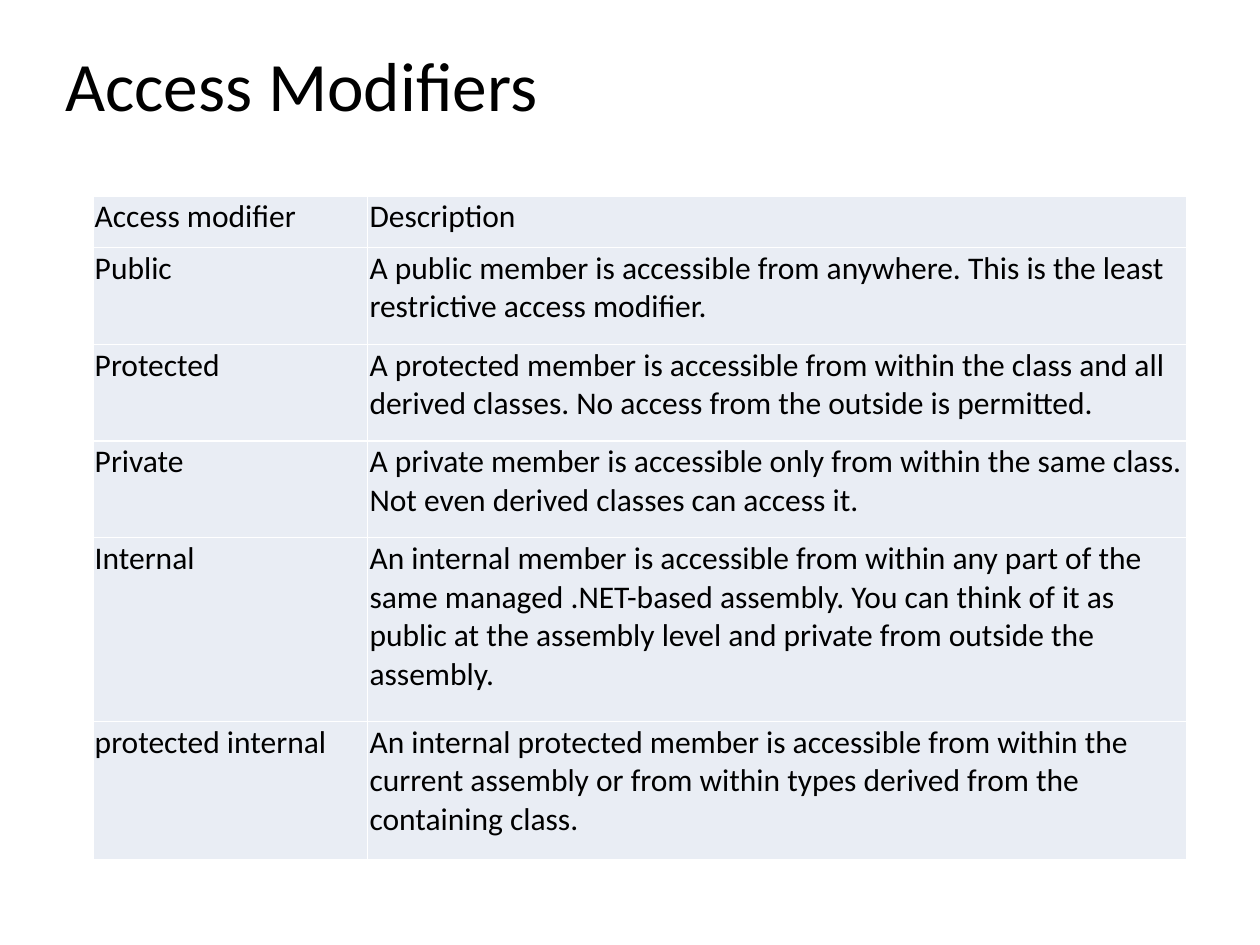
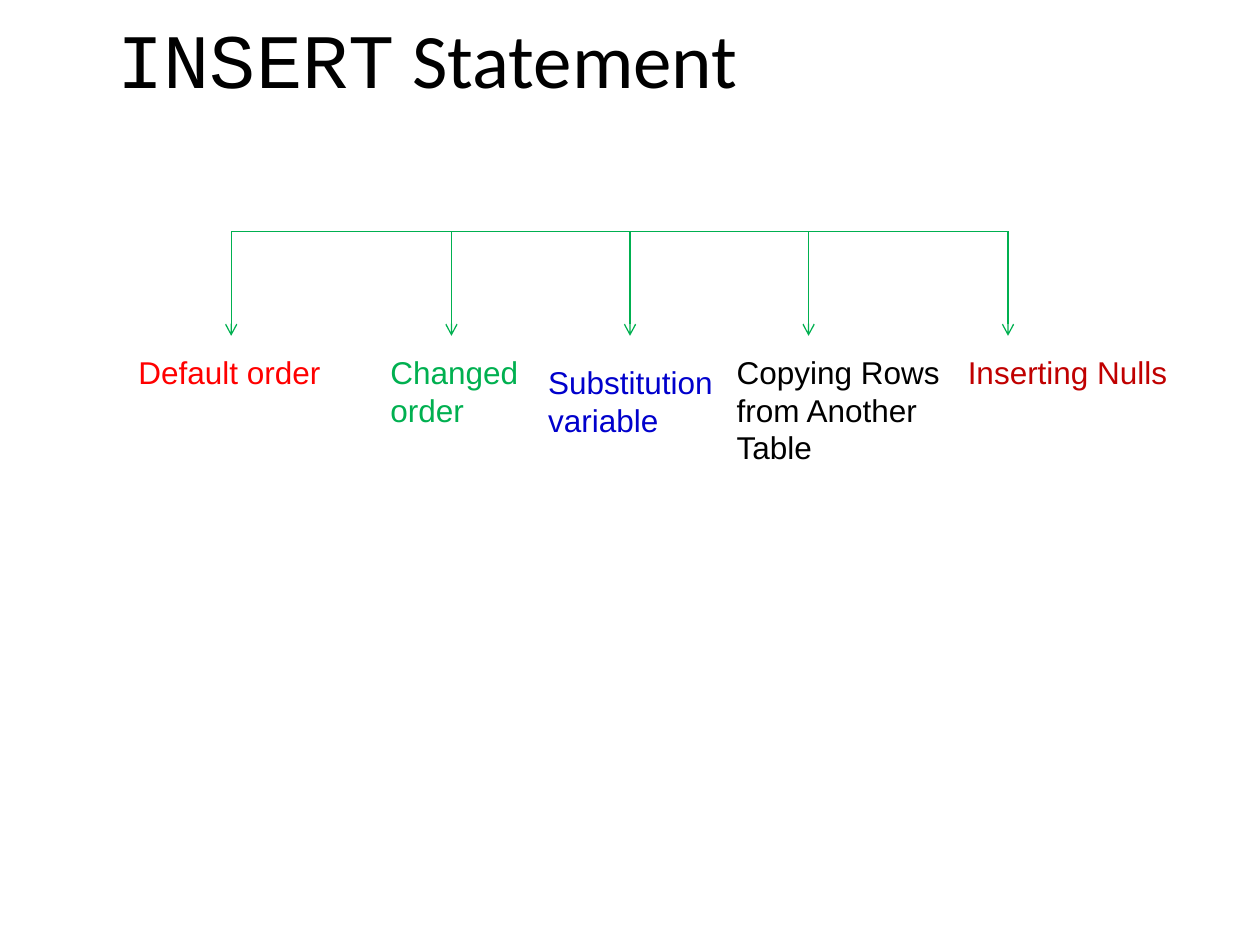
"""Build two slides: C# access modifiers and the forms of the INSERT statement."""
import lxml.etree
import pptx
import pptx.dml.color
import pptx.enum.shapes
import pptx.enum.text
import pptx.oxml
import pptx.oxml.ns
import pptx.util
from pptx.util import Cm, Pt

RGBColor = pptx.dml.color.RGBColor
BLACK = RGBColor(0x00, 0x00, 0x00)
WHITE = RGBColor(0xFF, 0xFF, 0xFF)
CELL_FILL = RGBColor(0xE9, 0xED, 0xF4)
GREEN = RGBColor(0x00, 0xB0, 0x50)
RED = RGBColor(0xFF, 0x00, 0x00)
BLUE = RGBColor(0x00, 0x00, 0xCC)
DARK_RED = RGBColor(0xC0, 0x00, 0x00)
BODY_SIZE = Pt(18)


def add_text(slide, left, top, width, height, paragraphs, size, colour):
    frame = slide.shapes.add_textbox(Cm(left), Cm(top), Cm(width), Cm(height)).text_frame
    frame.word_wrap = True
    for index, runs in enumerate(paragraphs):
        paragraph = frame.add_paragraph() if index else frame.paragraphs[0]
        paragraph.font.size = size
        paragraph.font.color.rgb = colour
        if len(runs) == 1:
            paragraph.font.name = runs[0][1]
        for text, font_name in runs:
            run = paragraph.add_run()
            run.text = text
            if len(runs) > 1:
                run.font.name = font_name
    return frame


def add_line(slide, start_x, start_y, end_x, end_y, arrow):
    line = slide.shapes.add_connector(
        pptx.enum.shapes.MSO_CONNECTOR.STRAIGHT,
        Cm(start_x), Cm(start_y), Cm(end_x), Cm(end_y))
    line.line.color.rgb = GREEN
    line.line.width = Pt(0.75)
    properties = line.element.spPr
    if arrow:
        outline = properties.find(pptx.oxml.ns.qn("a:ln"))
        lxml.etree.SubElement(outline, pptx.oxml.ns.qn("a:tailEnd")).set("type", "arrow")
    lxml.etree.SubElement(properties, pptx.oxml.ns.qn("a:effectLst"))


deck = pptx.Presentation()
deck.slide_width = Cm(25.4)
deck.slide_height = Cm(19.05)
blank = deck.slide_layouts[6]

titles = [
    (1.07, 0.64, 23.29, 2.11, [("Access Modifiers", "Calibri")], Pt(39.6)),
    (2.12, 0, 23.28, 2.33, [("INSERT", "Courier New"), (" Statement", "Calibri")], Pt(44)),
]
for left, top, width, height, runs, size in titles:
    title = add_text(deck.slides.add_slide(blank), left, top, width, height,
                     [runs], size, BLACK)
    title.vertical_anchor = pptx.enum.text.MSO_ANCHOR.MIDDLE
modifiers_slide, insert_slide = deck.slides

modifiers = [
    (1.04, "Access modifier", "Description"),
    (1.95, "Public", "A public member is accessible from anywhere. "
     "This is the least restrictive access modifier."),
    (1.95, "Protected", "A protected member is accessible from within the class and all "
     "derived classes. No access from the outside is permitted."),
    (1.95, "Private", "A private member is accessible only from within the same class. "
     "Not even derived classes can access it."),
    (3.7, "Internal", "An internal member is accessible from within any part of the same "
     "managed .NET-based assembly. You can think of it as public at the assembly level "
     "and private from outside the assembly."),
    (2.8, "protected internal", "An internal protected member is accessible from within the "
     "current assembly or from within types derived from the containing class."),
]
modifier_table = modifiers_slide.shapes.add_table(
    len(modifiers), 2, Cm(1.87), Cm(3.95), Cm(22.05), Cm(13.39)).table
modifier_table.first_row = False
modifier_table.horz_banding = False
modifier_table.columns[0].width = Cm(5.54)
modifier_table.columns[1].width = Cm(16.51)

for row, (height, *texts) in enumerate(modifiers):
    modifier_table.rows[row].height = Cm(height)
    for column, text in enumerate(texts):
        cell = modifier_table.cell(row, column)
        cell.text = text
        cell.margin_left = cell.margin_right = Cm(0.04)
        cell.margin_top = cell.margin_bottom = Cm(0.04)
        cell.fill.solid()
        cell.fill.fore_color.rgb = CELL_FILL
        paragraph = cell.text_frame.paragraphs[0]
        paragraph.space_after = Pt(3)
        paragraph.font.name = "Calibri"
        paragraph.font.size = BODY_SIZE
        paragraph.font.color.rgb = BLACK
        cell_properties = cell._tc.get_or_add_tcPr()
        for position, side in enumerate(("lnL", "lnR", "lnT", "lnB")):
            border = pptx.oxml.parse_xml(
                f'<a:{side} {pptx.oxml.ns.nsdecls("a")} w="{Pt(1)}"><a:solidFill>'
                f'<a:srgbClr val="{WHITE}"/></a:solidFill></a:{side}>')
            cell_properties.insert(position, border)

insert_forms = [
    (4.66, 2.54, 6.99, 4.66, ["Default order"], RED),
    (9.1, 7.62, 6.99, 4.66, ["Changed order"], GREEN),
    (12.7, 10.8, 7.2, 4.66, ["Substitution", "variable"], BLUE),
    (16.3, 14.6, 6.99, 4.87, ["Copying Rows", "from Another Table"], BLACK),
    (20.32, 19.26, 6.99, 4.87, ["Inserting Nulls"], DARK_RED),
]
branch_y, arrow_tip_y = 4.66, 6.77
add_line(insert_slide, insert_forms[0][0], branch_y, insert_forms[-1][0], branch_y, False)
for arrow_x, left, top, width, lines, colour in insert_forms:
    add_line(insert_slide, arrow_x, branch_y, arrow_x, arrow_tip_y, True)
    add_text(insert_slide, left, top, width, 1.03,
             [[(line, "Arial")] for line in lines], BODY_SIZE, colour)

deck.save("out.pptx")
